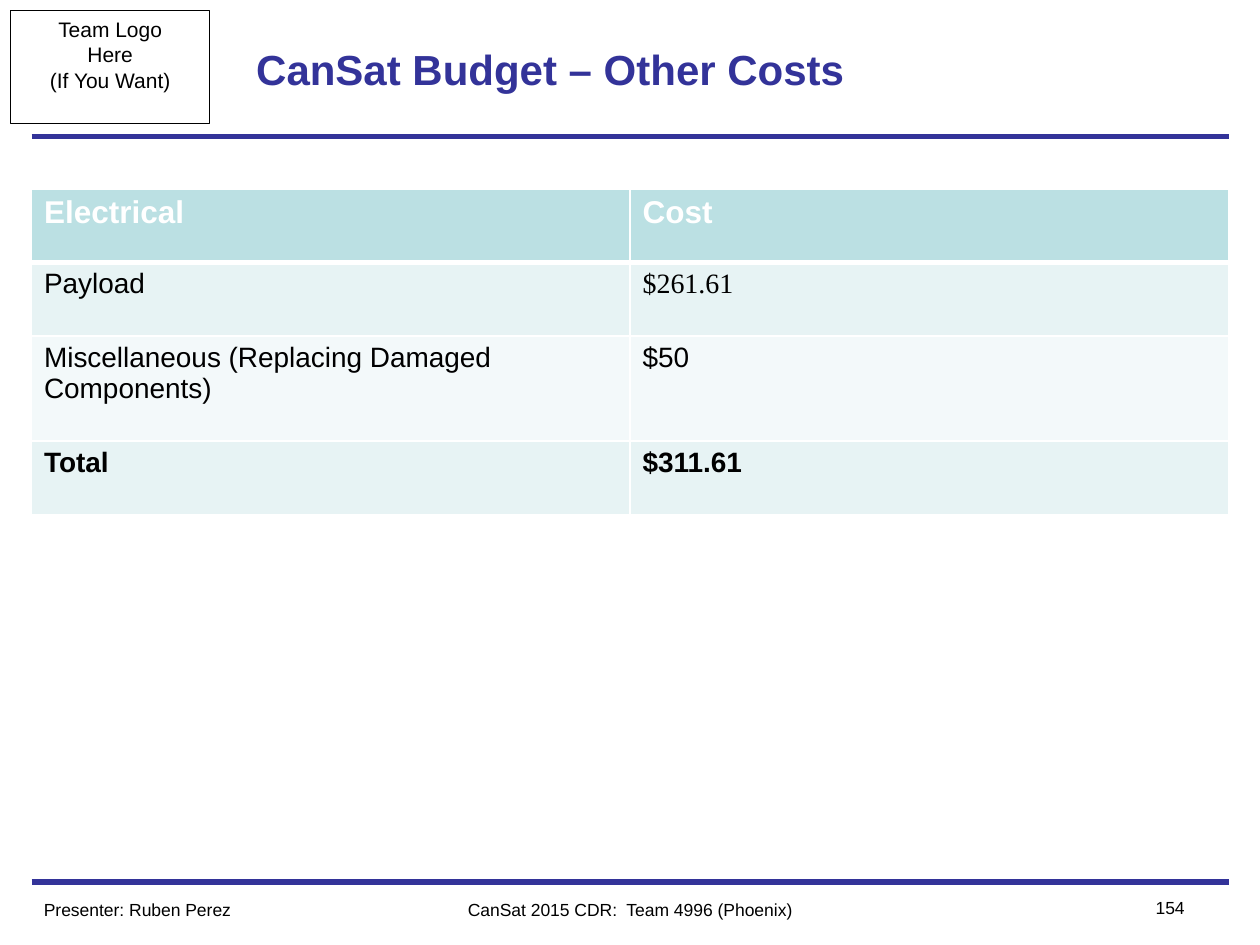
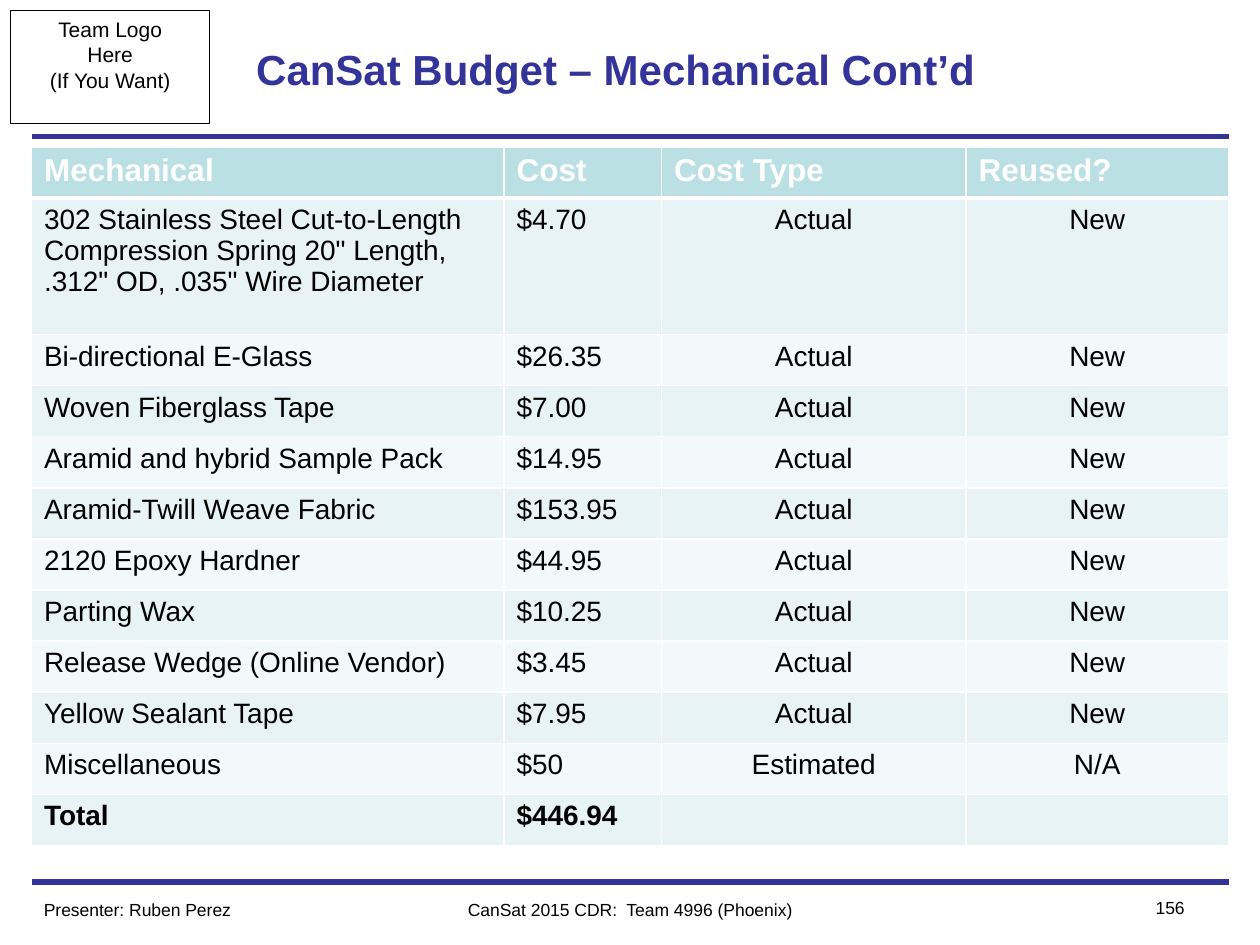
from dataclasses import dataclass

from lxml import etree
from pptx import Presentation
from pptx import util as u
from pptx.dml.color import RGBColor
from pptx.enum import shapes, text
from pptx.oxml import ns

LEFT, CENTER, RIGHT = text.PP_ALIGN.LEFT, text.PP_ALIGN.CENTER, text.PP_ALIGN.RIGHT
COLUMNS, ROWS = 120, 90
MARGIN = 3


@dataclass(frozen=True)
class Theme:
    accent: str = "333399"
    ink: str = "000000"
    white: str = "FFFFFF"
    header: str = "BBE0E3"
    bands: tuple = ("E7F3F4", "F3F9FA")
    sans: str = "Arial"
    serif: str = "Times New Roman"
    title: int = 24
    table_header: int = 18
    table_body: int = 16
    logo: int = 12
    footer: int = 10


THEME = Theme()


def write_text(frame, content, size, color=THEME.ink, font=THEME.sans, bold=False,
               align=LEFT):
    for index, line in enumerate(content.split("\n")):
        paragraph = frame.add_paragraph() if index else frame.paragraphs[0]
        paragraph.alignment = align
        run = paragraph.add_run()
        run.text = line
        run.font.size = u.Pt(size)
        run.font.name = font
        run.font.bold = bold
        run.font.color.rgb = RGBColor.from_string(color)


def add_border(cell, position, side, points):
    line = etree.Element(ns.qn(f"a:{side}"), w=str(u.Pt(points)))
    fill = etree.SubElement(line, ns.qn("a:solidFill"))
    etree.SubElement(fill, ns.qn("a:srgbClr"), val=THEME.white)
    cell._tc.get_or_add_tcPr().insert(position, line)


class Deck:
    def __init__(self, theme):
        self.theme = theme
        self.presentation = Presentation()
        self.presentation.slide_width = u.Inches(10)
        self.presentation.slide_height = u.Inches(7.5)
        self.slide = None

    def x(self, columns):
        return round(self.presentation.slide_width * columns / COLUMNS)

    def y(self, rows):
        return round(self.presentation.slide_height * rows / ROWS)

    def box(self, left, top, width, height):
        return self.x(left), self.y(top), self.x(width), self.y(height)

    def rule(self, row):
        connector = self.slide.shapes.add_connector(
            shapes.MSO_CONNECTOR.STRAIGHT,
            self.x(MARGIN), self.y(row), self.x(COLUMNS - MARGIN), self.y(row))
        connector.line.color.rgb = RGBColor.from_string(self.theme.accent)
        connector.line.width = u.Pt(3)
        etree.SubElement(connector._element.spPr, ns.qn("a:effectLst"))

    def label(self, content, place, **style):
        frame = self.slide.shapes.add_textbox(*self.box(*place)).text_frame
        frame.word_wrap = True
        write_text(frame, content, **style)
        return frame

    def logo_box(self):
        shape = self.slide.shapes.add_shape(
            shapes.MSO_SHAPE.RECTANGLE, *self.box(1, 1, 19, 10.8))
        shape.shadow.inherit = False
        shape.fill.background()
        shape.line.color.rgb = RGBColor.from_string(self.theme.ink)
        shape.line.width = u.Pt(0.5)
        frame = shape.text_frame
        frame.word_wrap = False
        frame.vertical_anchor = text.MSO_ANCHOR.TOP
        write_text(frame, "Team Logo\nHere\n(If You Want)", self.theme.logo, align=CENTER)

    def start_slide(self, title, number):
        self.slide = self.presentation.slides.add_slide(self.presentation.slide_layouts[6])
        for row in (13, 84):
            self.rule(row)
        self.logo_box()
        frame = self.label(title, (21, 1, 78, 11), size=self.theme.title,
                           color=self.theme.accent, bold=True)
        frame.vertical_anchor = text.MSO_ANCHOR.MIDDLE
        frame.margin_left = self.x(3.4)
        footers = (
            ("Presenter: Ruben Perez", (MARGIN, 85, 30, 3.2), LEFT),
            ("CanSat 2015 CDR:  Team 4996 (Phoenix)", (36, 85, 48, 3.2), CENTER),
            (str(number), (105, 84.8, 9, 3.2), RIGHT),
        )
        for content, place, align in footers:
            self.label(content, place, size=self.theme.footer, align=align)

    def table(self, top, widths, heights, records, serif_cells=()):
        table = self.slide.shapes.add_table(
            len(records), len(widths),
            *self.box(MARGIN, top, sum(widths), sum(heights))).table
        table.horz_banding = False
        for column, width in zip(table.columns, widths):
            column.width = self.x(width)
        for row, height in zip(table.rows, heights):
            row.height = self.y(height)
        for row, record in enumerate(records):
            for column, content in enumerate(record):
                self.cell(table.cell(row, column), content, row, column,
                          is_total=row == len(records) - 1,
                          font=self.theme.serif if (row, column) in serif_cells
                          else self.theme.sans)

    def cell(self, cell, content, row, column, is_total, font):
        theme = self.theme
        is_header = row == 0
        background = theme.header if is_header else theme.bands[(row - 1) % 2]
        cell.fill.solid()
        cell.fill.fore_color.rgb = RGBColor.from_string(background)
        for position, side in enumerate(("lnL", "lnR", "lnT", "lnB")):
            heavy = (row, side) in ((0, "lnB"), (1, "lnT"))
            add_border(cell, position, side, 3 if heavy else 1)
        write_text(cell.text_frame, content,
                   size=theme.table_header if is_header else theme.table_body,
                   color=theme.white if is_header else theme.ink,
                   font=font, bold=is_header or is_total,
                   align=CENTER if column > 1 and not is_header else LEFT)


def main():
    deck = Deck(THEME)

    deck.start_slide("CanSat Budget – Other Costs", 154)
    deck.table(18, (57, 57), (7, 7, 10, 7), [
        ("Electrical", "Cost"),
        ("Payload", "$261.61"),
        ("Miscellaneous (Replacing Damaged Components)", "$50"),
        ("Total", "$311.61"),
    ], serif_cells={(1, 1)})

    deck.start_slide("CanSat Budget – Mechanical Cont’d", 156)
    purchases = [
        ('302 Stainless Steel Cut-to-Length Compression Spring 20" Length, '
         '.312" OD, .035" Wire Diameter', "$4.70"),
        ("Bi-directional E-Glass", "$26.35"),
        ("Woven Fiberglass Tape", "$7.00"),
        ("Aramid and hybrid Sample Pack", "$14.95"),
        ("Aramid-Twill Weave Fabric", "$153.95"),
        ("2120 Epoxy Hardner", "$44.95"),
        ("Parting Wax", "$10.25"),
        ("Release Wedge (Online Vendor)", "$3.45"),
        ("Yellow Sealant Tape", "$7.95"),
    ]
    records = [
        ("Mechanical", "Cost", "Cost Type", "Reused?"),
        *((item, cost, "Actual", "New") for item, cost in purchases),
        ("Miscellaneous", "$50", "Estimated", "N/A"),
        ("Total", "$446.94", "", ""),
    ]
    heights = [4.87, 13] + [4.87] * (len(records) - 2)
    deck.table(14, (45, 15, 29, 25), heights, records)

    deck.presentation.save("out.pptx")


if __name__ == "__main__":
    main()
